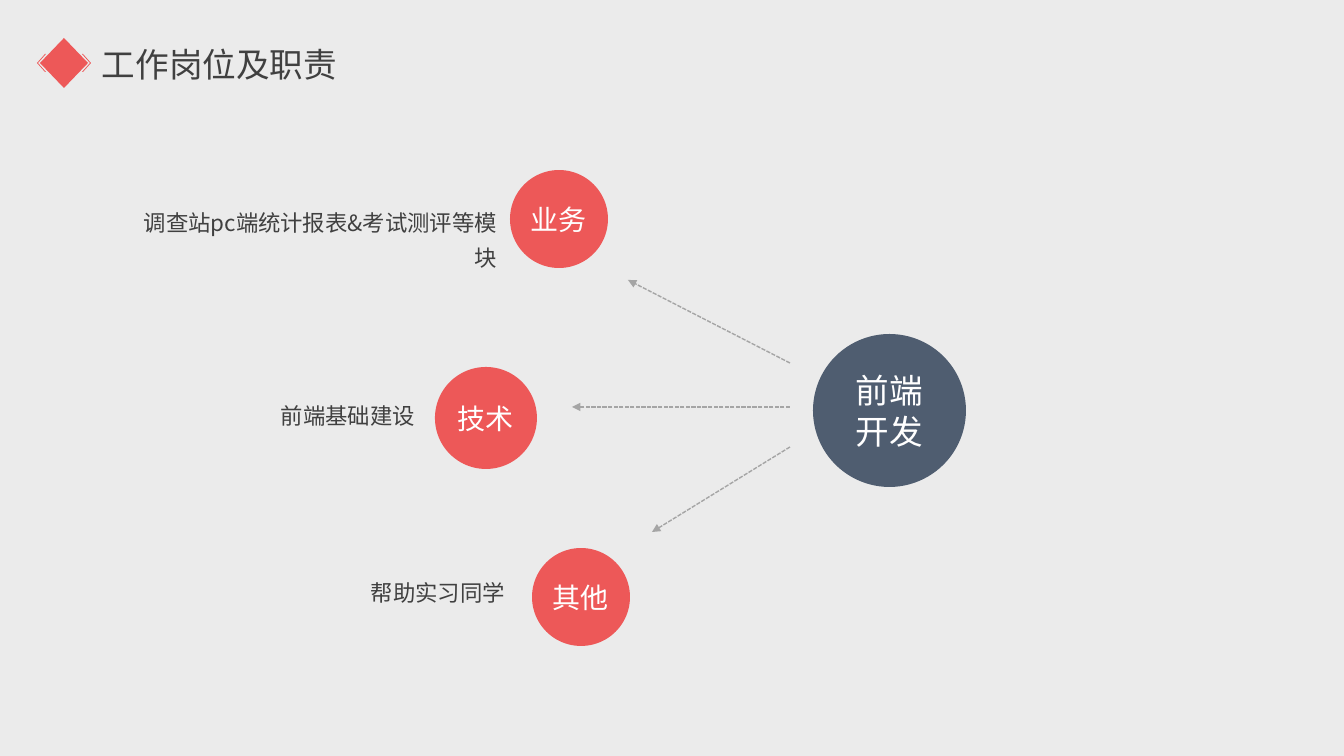
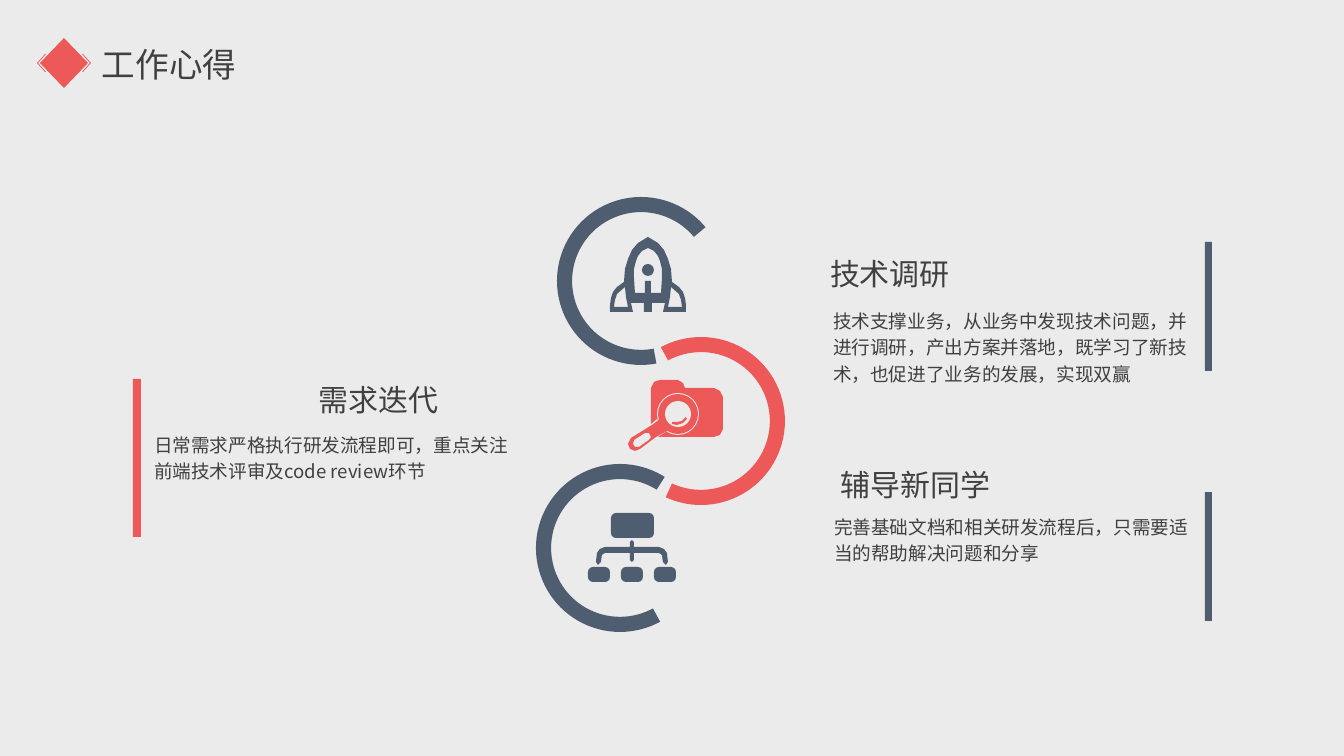
from dataclasses import dataclass

from lxml.etree import SubElement
from pptx import Presentation
from pptx.dml.color import RGBColor
from pptx.enum.dml import MSO_LINE
from pptx.enum.shapes import MSO_CONNECTOR, MSO_SHAPE as Preset
from pptx.enum.text import MSO_ANCHOR as Anchor, PP_ALIGN as Align
from pptx.oxml.ns import qn
from pptx.shapes.base import BaseShape
from pptx.slide import Slide
from pptx.text.text import TextFrame
from pptx.util import Emu, Pt

SLIDE_WIDTH, SLIDE_HEIGHT = 1344, 756
EMU_PER_PX = 12192000 / SLIDE_WIDTH
FONT = "Noto Sans CJK SC"

BACKGROUND = RGBColor(0xEB, 0xEB, 0xEB)
RED = RGBColor(0xED, 0x58, 0x58)
NAVY = RGBColor(0x4F, 0x5D, 0x70)
GREY = RGBColor(0xA5, 0xA5, 0xA5)
DARK = RGBColor(0x40, 0x40, 0x40)
WHITE = RGBColor(0xFF, 0xFF, 0xFF)

Point = tuple[int, int]
Outline = list[Point]


@dataclass(frozen=True)
class Box:
    left: int
    top: int
    width: int
    height: int

    def emu(self) -> list[Emu]:
        return [px(n) for n in (self.left, self.top, self.width, self.height)]


@dataclass(frozen=True)
class TextStyle:
    size: float
    color: RGBColor = DARK
    align: Align = Align.LEFT
    line_spacing: float = 1.0
    space_before: float = 0
    margin_x: int = 10
    margin_y: int = 5
    wrap: bool = True


@dataclass(frozen=True)
class Topic:
    label: str
    circle: Box
    caption: str
    caption_box: Box
    arrow_from: Point
    arrow_to: Point


@dataclass(frozen=True)
class Lesson:
    heading: str
    heading_box: Box
    body: str
    body_box: Box
    bar: Box
    color: RGBColor


@dataclass(frozen=True)
class Arc:
    left: int
    top: int
    start: float
    end: float
    color: RGBColor


TITLE = TextStyle(24, wrap=False)
HUB = TextStyle(24, WHITE, Align.CENTER, margin_x=0, margin_y=0, wrap=False)
TOPIC = TextStyle(20, WHITE, Align.CENTER, margin_x=0, margin_y=0, wrap=False)
CAPTION = TextStyle(16, align=Align.RIGHT, line_spacing=1.3)
HEADING = TextStyle(21.4)
BODY = TextStyle(13.3, line_spacing=1.2, space_before=2.7, margin_x=13, margin_y=7)

TOPICS = [
    Topic("业务", Box(510, 170, 98, 98), "调查站pc端统计报表&考试测评等模块",
          Box(120, 196, 387, 81), (790, 363), (628, 280)),
    Topic("技术", Box(435, 367, 102, 102), "前端基础建设",
          Box(38, 389, 387, 45), (790, 407), (572, 407)),
    Topic("其他", Box(532, 548, 98, 98), "帮助实习同学",
          Box(128, 566, 387, 45), (790, 447), (652, 532)),
]

LESSONS = [
    Lesson("需求迭代", Box(309, 377, 198, 46),
           "日常需求严格执行研发流程即可，重点关注前端技术评审及code review环节",
           Box(141, 422, 385, 106), Box(133, 379, 8, 158), RED),
    Lesson("技术调研", Box(820, 251, 198, 46),
           "技术支撑业务，从业务中发现技术问题，并进行调研，产出方案并落地，"
           "既学习了新技术，也促进了业务的发展，实现双赢",
           Box(820, 298, 385, 106), Box(1205, 242, 7, 129), NAVY),
    Lesson("辅导新同学", Box(831, 462, 198, 46),
           "完善基础文档和相关研发流程后，只需要适当的帮助解决问题和分享",
           Box(821, 504, 385, 106), Box(1205, 492, 7, 129), NAVY),
]

ARC_SIZE = 168
ARCS = [
    Arc(557, 197, 79.4, 320.2, NAVY),
    Arc(617, 337, 241.5, 114.8, RED),
    Arc(536, 464, 61.4, 302.2, NAVY),
]


def px(length: float) -> Emu:
    return Emu(round(length * EMU_PER_PX))


def mirrored(half: Outline, axis: int) -> Outline:
    return [(2 * axis - x, y) for x, y in reversed(half)]


def symmetric(half: Outline, axis: int) -> Outline:
    """Close a left half outline with its reflection."""
    return half + mirrored(half, axis)


def paint(shape: BaseShape, color: RGBColor) -> None:
    shape.shadow.inherit = False
    shape.fill.solid()
    shape.fill.fore_color.rgb = color
    shape.line.fill.background()


def add_preset(slide: Slide, preset: Preset, box: Box, color: RGBColor) -> BaseShape:
    shape = slide.shapes.add_shape(preset, *box.emu())
    paint(shape, color)
    return shape


def add_outlines(slide: Slide, outlines: list[Outline], color: RGBColor) -> None:
    """Draw closed outlines as one shape; inner outlines become holes."""
    first, *others = outlines
    builder = slide.shapes.build_freeform(*first[0], scale=EMU_PER_PX)
    builder.add_line_segments(first[1:], close=True)
    for outline in others:
        builder.move_to(*outline[0])
        builder.add_line_segments(outline[1:], close=True)
    paint(builder.convert_to_shape(), color)


def write(frame: TextFrame, lines: list[str], style: TextStyle) -> None:
    frame.word_wrap = style.wrap
    frame.margin_left = frame.margin_right = px(style.margin_x)
    frame.margin_top = frame.margin_bottom = px(style.margin_y)
    for index, line in enumerate(lines):
        paragraph = frame.add_paragraph() if index else frame.paragraphs[0]
        paragraph.alignment = style.align
        paragraph.line_spacing = style.line_spacing
        paragraph.space_before = Pt(style.space_before)
        run = paragraph.add_run()
        run.text = line
        run.font.size = Pt(style.size)
        run.font.color.rgb = style.color
        run.font.name = FONT
        SubElement(run.font._element, qn("a:ea")).set("typeface", FONT)


def add_text(slide: Slide, text: str, box: Box, style: TextStyle) -> None:
    write(slide.shapes.add_textbox(*box.emu()).text_frame, [text], style)


def add_labelled_circle(slide: Slide, lines: list[str], box: Box,
                        color: RGBColor, style: TextStyle) -> None:
    circle = add_preset(slide, Preset.OVAL, box, color)
    circle.text_frame.vertical_anchor = Anchor.MIDDLE
    write(circle.text_frame, lines, style)


def add_arrow(slide: Slide, start: Point, end: Point) -> None:
    arrow = slide.shapes.add_connector(
        MSO_CONNECTOR.STRAIGHT, *(px(n) for n in start + end))
    arrow.line.color.rgb = GREY
    arrow.line.width = Pt(1)
    arrow.line.dash_style = MSO_LINE.SQUARE_DOT
    properties = arrow._element.spPr
    SubElement(properties.find(qn("a:ln")), qn("a:tailEnd")).set("type", "triangle")
    SubElement(properties, qn("a:effectLst"))


def add_titled_slide(presentation: Presentation, title: str) -> Slide:
    slide = presentation.slides.add_slide(presentation.slide_layouts[6])
    diamond = [(64, 38), (88, 63), (64, 88), (40, 63)]
    chevron = [(45, 54), (46, 54), (38, 63), (46, 72), (45, 72), (37, 63)]
    add_outlines(slide, [diamond, chevron, mirrored(chevron, 64)], RED)
    add_text(slide, title, Box(92, 39, 258, 50), TITLE)
    return slide


def add_rocket(slide: Slide) -> None:
    axis = 648
    hull = [(648, 237), (638, 243), (632, 250), (628, 259), (625, 269), (624, 282),
            (617, 287), (613, 292), (611, 298), (610, 305), (610, 312), (633, 312),
            (631, 303), (644, 303), (644, 312)]
    cabin = [(648, 248), (642, 251), (638, 256), (636, 261), (634, 269), (634, 278),
             (635, 293), (645, 293), (645, 281)]
    fin = [(626, 297), (625, 287), (617, 294), (615, 300), (614, 307), (628, 307)]
    add_outlines(slide, [symmetric(hull, axis), symmetric(cabin, axis),
                         fin, mirrored(fin, axis)], NAVY)
    add_preset(slide, Preset.OVAL, Box(642, 264, 12, 12), NAVY)


def add_folder_search(slide: Slide) -> None:
    folder = [(714, 388), (685, 388), (683, 383), (678, 380), (660, 380), (654, 382),
              (651, 388), (651, 424), (657, 419), (666, 432), (658, 437), (714, 437),
              (720, 435), (723, 429), (723, 397), (720, 391)]
    handle = [(660, 419), (652, 425), (631, 438), (628, 444), (630, 449), (635, 451),
              (640, 449), (656, 437), (667, 431)]
    slot = [(634, 440), (645, 433), (649, 433), (651, 437), (649, 440), (639, 447),
            (635, 447), (633, 444)]
    glint = [(686, 417), (687, 419), (683, 423), (677, 425), (672, 424), (672, 422),
             (677, 422), (682, 421)]
    add_outlines(slide, [folder], RED)
    rings = [(21, BACKGROUND), (20, RED), (13, BACKGROUND)]
    for radius, color in rings:
        ring = Box(678 - radius, 414 - radius, 2 * radius, 2 * radius)
        add_preset(slide, Preset.OVAL, ring, color)
    add_outlines(slide, [handle, slot], RED)
    add_outlines(slide, [glint], RED)


def add_organisation_chart(slide: Slide) -> None:
    branches = [(632, 540), (630, 542), (630, 547), (605, 547), (600, 549), (597, 553),
                (596, 562), (598, 565), (601, 562), (602, 555), (605, 553), (630, 553),
                (630, 560), (632, 562)]
    add_outlines(slide, [symmetric(branches, 632)], NAVY)
    nodes = [(Box(611, 513, 43, 25), 0.2)]
    nodes += [(Box(588 + 33 * i, 567, 22, 15), 0.33) for i in range(3)]
    for box, rounding in nodes:
        add_preset(slide, Preset.ROUNDED_RECTANGLE, box, NAVY).adjustments[0] = rounding


def add_arc(slide: Slide, arc: Arc) -> None:
    box = Box(arc.left, arc.top, ARC_SIZE, ARC_SIZE)
    shape = add_preset(slide, Preset.BLOCK_ARC, box, arc.color)
    units_per_degree = 0.6
    shape.adjustments[0] = arc.start * units_per_degree
    shape.adjustments[1] = arc.end * units_per_degree
    shape.adjustments[2] = 0.09


def build_duties(presentation: Presentation) -> None:
    slide = add_titled_slide(presentation, "工作岗位及职责")
    add_labelled_circle(slide, ["前端", "开发"], Box(813, 334, 153, 153), NAVY, HUB)
    for topic in TOPICS:
        add_arrow(slide, topic.arrow_from, topic.arrow_to)
        add_labelled_circle(slide, [topic.label], topic.circle, RED, TOPIC)
        add_text(slide, topic.caption, topic.caption_box, CAPTION)


def build_lessons(presentation: Presentation) -> None:
    slide = add_titled_slide(presentation, "工作心得")
    for arc in ARCS:
        add_arc(slide, arc)
    add_rocket(slide)
    add_folder_search(slide)
    add_organisation_chart(slide)
    for lesson in LESSONS:
        add_preset(slide, Preset.RECTANGLE, lesson.bar, lesson.color)
        add_text(slide, lesson.heading, lesson.heading_box, HEADING)
        add_text(slide, lesson.body, lesson.body_box, BODY)


def main() -> None:
    presentation = Presentation()
    presentation.slide_width = px(SLIDE_WIDTH)
    presentation.slide_height = px(SLIDE_HEIGHT)
    background = presentation.slide_master.background.fill
    background.solid()
    background.fore_color.rgb = BACKGROUND
    build_duties(presentation)
    build_lessons(presentation)
    presentation.save("out.pptx")


if __name__ == "__main__":
    main()
